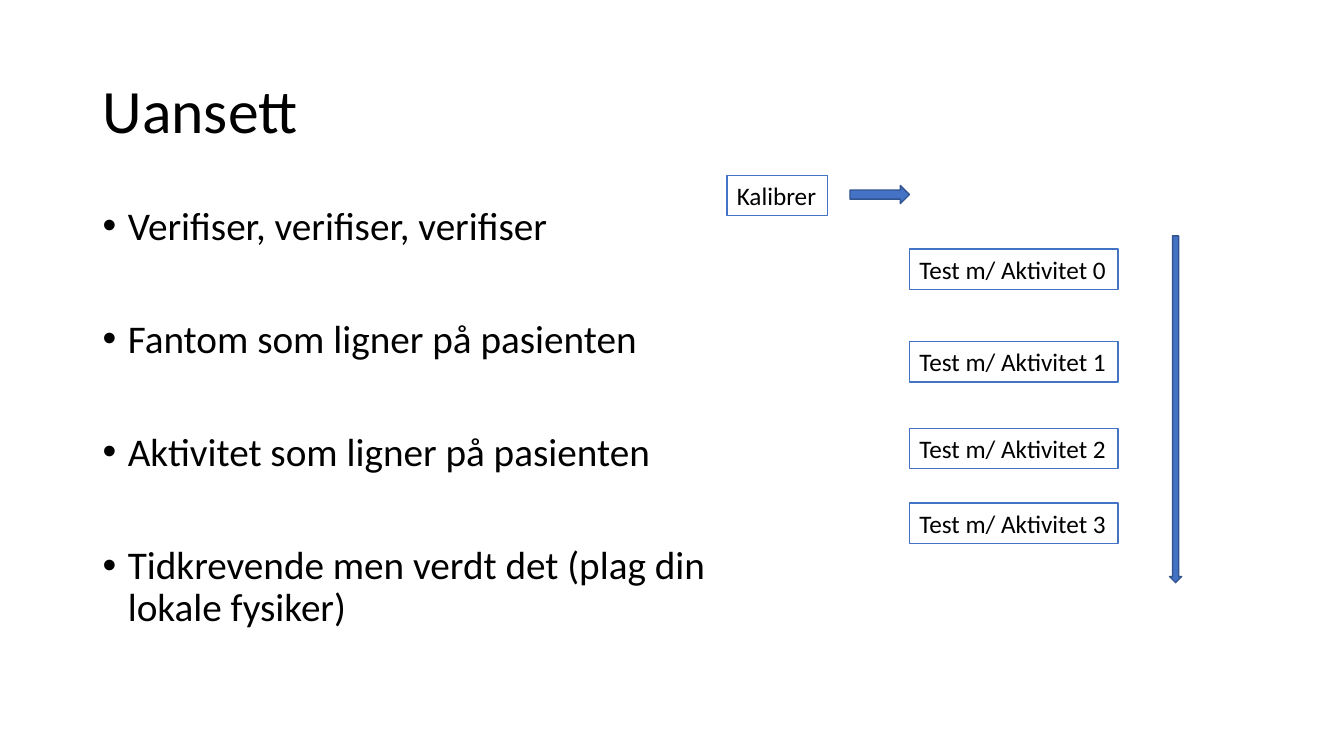
from lxml.etree import SubElement
from pptx import Presentation
from pptx.dml.color import RGBColor
from pptx.enum.shapes import MSO_SHAPE
from pptx.enum.text import MSO_ANCHOR, MSO_AUTO_SIZE
from pptx.oxml.ns import qn
from pptx.util import Inches, Pt

THEME = {
    "font": "Calibri",
    "text": RGBColor(0x00, 0x00, 0x00),
    "paper": RGBColor(0xFF, 0xFF, 0xFF),
    "accent": RGBColor(0x44, 0x72, 0xC4),
    "accent_dark": RGBColor(0x32, 0x54, 0x91),
    "title_size": Pt(44),
    "body_size": Pt(28),
    "label_size": Pt(18),
    "line_width": Pt(1),
}

TITLE = "Uansett"
BULLETS = [
    "Verifiser, verifiser, verifiser",
    "Fantom som ligner på pasienten",
    "Aktivitet som ligner på pasienten",
    "Tidkrevende men verdt det (plag din lokale fysiker)",
]
BULLET_GAP = Pt(50.5)
BULLET_INDENT = Inches(0.25)

TEST_LEFT, TEST_WIDTH, LABEL_HEIGHT = 9.02, 2.07, 0.4
TEST_TOPS = [2.47, 3.39, 4.25, 4.99]
LABELS = [("Kalibrer", (7.21, 1.74, 1, LABEL_HEIGHT))] + [
    (f"Test m/ Aktivitet {number}", (TEST_LEFT, top, TEST_WIDTH, LABEL_HEIGHT))
    for number, top in enumerate(TEST_TOPS)
]
ARROWS = [
    (MSO_SHAPE.DOWN_ARROW, (11.6, 2.34, 0.12, 3.44)),
    (MSO_SHAPE.RIGHT_ARROW, (8.43, 1.84, 0.59, 0.18)),
]


def set_values(target, values):
    for name, value in values.items():
        setattr(target, name, value)


def paint(shape, fill, line):
    shape.fill.solid()
    shape.fill.fore_color.rgb = fill
    shape.line.color.rgb = line
    shape.line.width = THEME["line_width"]


def write(para, text, size):
    span = para.add_run()
    span.text = text
    set_values(span.font, {"name": THEME["font"], "size": size})
    span.font.color.rgb = THEME["text"]


def add_text_box(page, place, frame_format):
    box = page.shapes.add_textbox(*map(Inches, place))
    set_values(box.text_frame, frame_format)
    return box


def add_bullet(para):
    properties = para._p.get_or_add_pPr()
    properties.set("marL", str(BULLET_INDENT))
    properties.set("indent", str(-BULLET_INDENT))
    SubElement(properties, qn("a:buFont"), typeface="Arial")
    SubElement(properties, qn("a:buChar"), char="•")


def add_title(page):
    box = add_text_box(page, (0.92, 0.4, 11.5, 1.45),
                       {"word_wrap": True, "vertical_anchor": MSO_ANCHOR.MIDDLE})
    para = box.text_frame.paragraphs[0]
    para.line_spacing = 0.9
    write(para, TITLE, THEME["title_size"])


def add_bullets(page):
    box = add_text_box(page, (0.92, 2, 6.4, 4.76), {"word_wrap": True})
    for index, text in enumerate(BULLETS):
        para = box.text_frame.add_paragraph() if index else box.text_frame.paragraphs[0]
        add_bullet(para)
        set_values(para, {"line_spacing": 0.9, "space_before": BULLET_GAP if index else Pt(0)})
        write(para, text, THEME["body_size"])


def add_label(page, text, place):
    box = add_text_box(page, place,
                       {"word_wrap": False, "auto_size": MSO_AUTO_SIZE.SHAPE_TO_FIT_TEXT})
    paint(box, THEME["paper"], THEME["accent"])
    write(box.text_frame.paragraphs[0], text, THEME["label_size"])


def add_arrow(page, kind, place):
    arrow = page.shapes.add_shape(kind, *map(Inches, place))
    arrow.shadow.inherit = False
    paint(arrow, THEME["accent"], THEME["accent_dark"])


def main():
    deck = Presentation()
    set_values(deck, {"slide_width": Inches(13.33), "slide_height": Inches(7.5)})
    page = deck.slides.add_slide(deck.slide_layouts[6])
    add_title(page)
    add_bullets(page)
    for text, place in LABELS:
        add_label(page, text, place)
    for kind, place in ARROWS:
        add_arrow(page, kind, place)
    deck.save("out.pptx")


if __name__ == "__main__":
    main()
